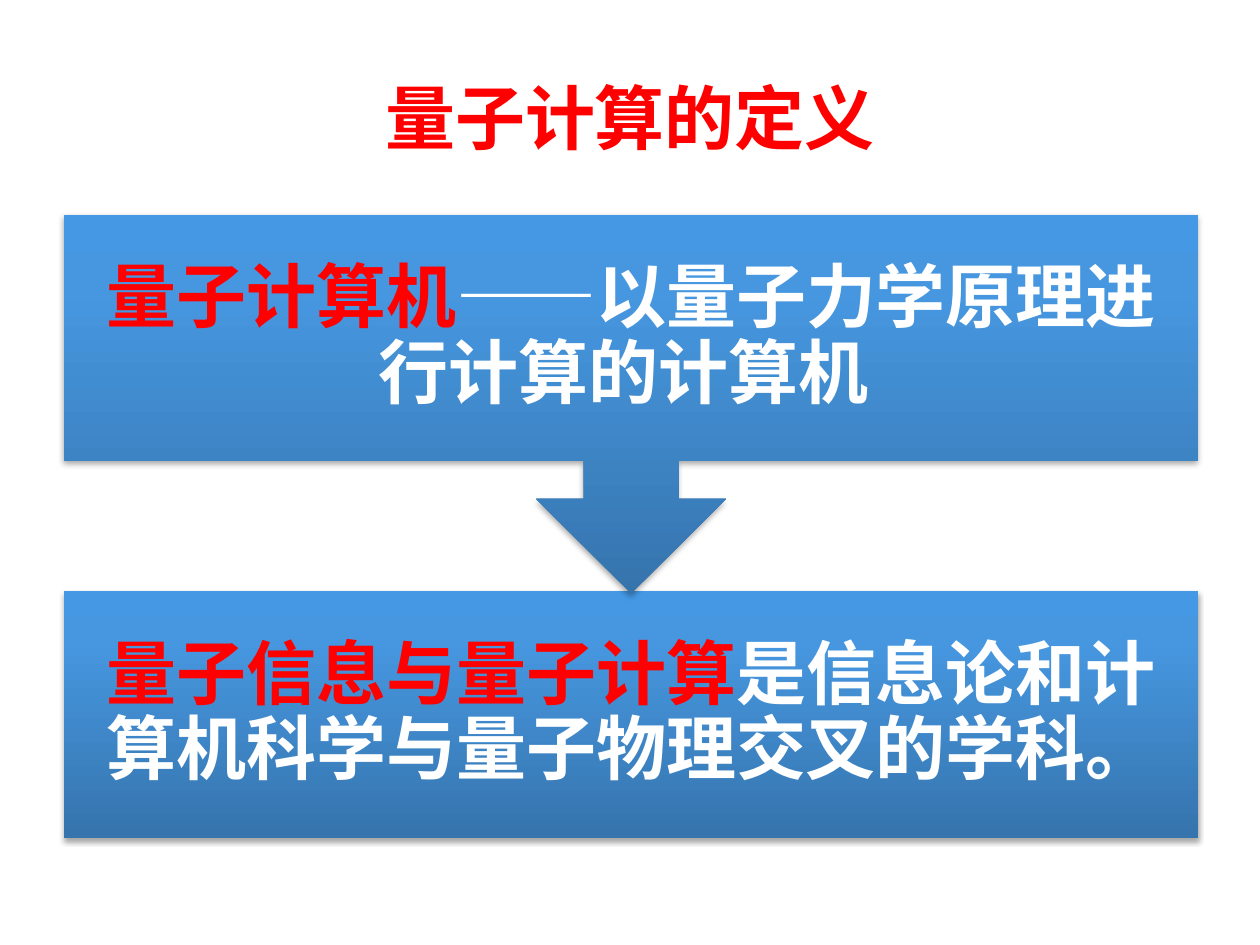
from lxml import etree
from pptx import Presentation
from pptx.dml.color import RGBColor
from pptx.enum.shapes import MSO_SHAPE
from pptx.enum.text import MSO_ANCHOR, PP_ALIGN
from pptx.oxml.ns import qn
from pptx.util import Pt

RECT = MSO_SHAPE.RECTANGLE
CALLOUT = MSO_SHAPE.DOWN_ARROW_CALLOUT
MIDDLE = MSO_ANCHOR.MIDDLE
CENTER = PP_ALIGN.CENTER

COLORS = {
    "red": "FF0000",
    "white": "FFFFFF",
    "deep": "3674AD",
    "mid": "4697E0",
    "light": "4498E4",
    "shadow": "000000",
}
STOPS = [(0, "deep"), (80, "mid"), (100, "light")]


def add_text(sp, runs, size=40, inset=(7.2, 3.6), spacing=None, after=None):
    """Write one centred paragraph of (text, colour) runs into a shape."""
    tf = sp.text_frame
    tf.word_wrap = True
    tf.vertical_anchor = MIDDLE
    tf.margin_left = tf.margin_right = Pt(inset[0])
    tf.margin_top = tf.margin_bottom = Pt(inset[1])
    p = tf.paragraphs[0]
    p.alignment = CENTER
    if spacing:
        p.line_spacing = spacing
    if after:
        p.space_after = Pt(after)
    for text, color in runs:
        r = p.add_run()
        r.text = text
        r.font.name = "Calibri"
        r.font.size = Pt(size)
        r.font.bold = True
        r.font.color.rgb = RGBColor.from_string(COLORS[color])


def add_color(parent, color):
    """Append an RGB colour element and return it."""
    return etree.SubElement(parent, qn("a:srgbClr"), val=COLORS[color])


def style_block(sp):
    """Give a shape the blue vertical gradient and a soft shadow below."""
    sp.line.fill.background()
    sp.fill.gradient()
    sp.fill.gradient_angle = 90
    sp.shadow.inherit = False
    props = sp._element.spPr
    stops = props.find(".//" + qn("a:gsLst"))
    for stop in list(stops):
        stops.remove(stop)
    for pos, color in STOPS:
        add_color(etree.SubElement(stops, qn("a:gs"), pos=str(pos * 1000)), color)
    shadow = etree.SubElement(
        props.find(qn("a:effectLst")), qn("a:outerShdw"),
        blurRad=str(Pt(3.1)), dist=str(Pt(1.8)), dir="5400000", rotWithShape="0")
    etree.SubElement(add_color(shadow, "shadow"), qn("a:alpha"), val="35000")


def add_title(s, x, y, w, h):
    """Place the slide title."""
    add_text(s.shapes.add_textbox(Pt(x), Pt(y), Pt(w), Pt(h)),
             [("量子计算的定义", "red")])


def add_block(s, kind, x, y, w, h, runs):
    """Place one gradient block with its text."""
    sp = s.shapes.add_shape(kind, Pt(x), Pt(y), Pt(w), Pt(h))
    style_block(sp)
    add_text(sp, runs, inset=(22.4, 22.4), spacing=0.9, after=14)


def add_process(s, x, y, w, h):
    """Place the callout over the closing block, within the given box."""
    top_h, bottom_h = 216.7, 141
    add_block(s, RECT, x, y + h - bottom_h, w, bottom_h, [
        ("量子信息与量子计算", "red"),
        ("是信息论和计算机科学与量子物理交叉的学科。", "white")])
    add_block(s, CALLOUT, x, y, w, top_h, [
        ("量子计算机", "red"),
        ("——以量子力学原理进行计算的计算机 ", "white")])


def main():
    """Build and save the slide."""
    prs = Presentation()
    prs.slide_width, prs.slide_height = Pt(720), Pt(540)
    s = prs.slides.add_slide(prs.slide_layouts[6])
    add_title(s, 36, 21.6, 648, 90)
    add_process(s, 36.7, 122.6, 648, 356.2)
    prs.save("out.pptx")


if __name__ == "__main__":
    main()
